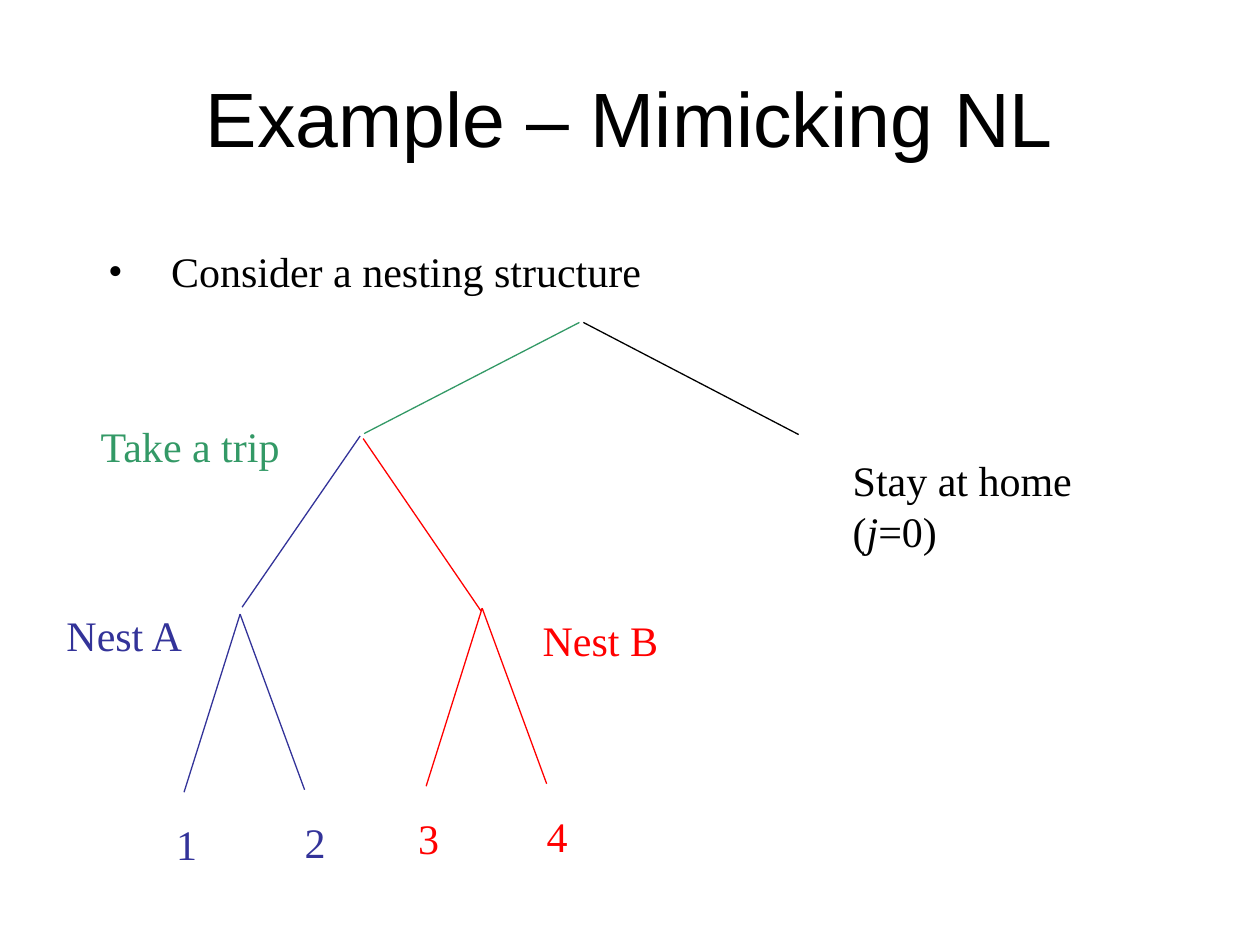
from dataclasses import dataclass

from lxml import etree
from pptx import Presentation
from pptx import util as u
from pptx.dml import color
from pptx.enum import shapes, text
from pptx.oxml import ns


@dataclass(frozen=True)
class Theme:
    black: str = "000000"
    green: str = "339966"
    blue: str = "333399"
    red: str = "FF0000"
    title_font: str = "Arial"
    body_font: str = "Times New Roman"
    title_size: int = 44
    body_size: int = 24
    line_width: float = 0.75


THEME = Theme()


def add_run(paragraph, wording, font_name, size, ink, italic=False):
    run = paragraph.add_run()
    run.text = wording
    run.font.name = font_name
    run.font.size = u.Pt(size)
    run.font.italic = italic
    run.font.color.rgb = color.RGBColor.from_string(ink)


def place(shape, left, top, width, height):
    shape.left, shape.top = u.Cm(left), u.Cm(top)
    shape.width, shape.height = u.Cm(width), u.Cm(height)


def set_title(slide, wording):
    title = slide.shapes.title
    place(title, 1.27, 0.76, 22.86, 3.18)
    title.text_frame.vertical_anchor = text.MSO_ANCHOR.MIDDLE
    paragraph = title.text_frame.paragraphs[0]
    paragraph.alignment = text.PP_ALIGN.CENTER
    add_run(paragraph, wording, THEME.title_font, THEME.title_size, THEME.black)


def add_label(container, left, top, width, ink, *runs, height=1.27):
    box = container.add_textbox(u.Cm(left), u.Cm(top), u.Cm(width), u.Cm(height))
    box.text_frame.word_wrap = True
    paragraph = box.text_frame.paragraphs[0]
    for wording, italic in runs:
        add_run(paragraph, wording, THEME.body_font, THEME.body_size, ink, italic)
    return paragraph


def add_bullet(paragraph, indent):
    properties = paragraph._p.get_or_add_pPr()
    properties.set("marL", str(u.Cm(indent)))
    properties.set("indent", str(-u.Cm(indent)))
    etree.SubElement(properties, ns.qn("a:buFont"), typeface=THEME.body_font)
    etree.SubElement(properties, ns.qn("a:buChar"), char="•")


def add_branch(container, start, end, ink):
    points = [u.Cm(length) for length in (*start, *end)]
    branch = container.add_connector(shapes.MSO_CONNECTOR.STRAIGHT, *points)
    branch.line.color.rgb = color.RGBColor.from_string(ink)
    branch.line.width = u.Pt(THEME.line_width)
    etree.SubElement(branch._element.spPr, ns.qn("a:effectLst"))


def add_nest(slide, apex, ink, alternatives):
    container = slide.shapes.add_group_shape().shapes
    x, y = apex
    offsets = ((-1.13, 3.59, -1.54, 4.0), (1.3, 3.54, 1.05, 3.95))
    for wording, (end_x, end_y, label_x, label_y) in zip(alternatives, offsets):
        add_branch(container, apex, (x + end_x, y + end_y), ink)
        add_label(container, x + label_x, y + label_y, 1.57, ink, (wording, False))


def add_trip_choice(slide):
    container = slide.shapes.add_group_shape().shapes
    add_branch(container, (11.68, 6.5), (7.34, 8.74), THEME.green)
    add_branch(container, (11.76, 6.5), (16.1, 8.76), THEME.black)
    add_label(container, 16.94, 9.04, 6.6, THEME.black,
              ("Stay at home (", False), ("j", True), ("=0)", False), height=2.29)
    add_label(container, 1.78, 8.36, 4.19, THEME.green, ("Take a trip", False))


def add_nest_choice(slide):
    container = slide.shapes.add_group_shape().shapes
    add_branch(container, (7.26, 8.79), (4.88, 12.24), THEME.blue)
    add_branch(container, (7.32, 8.84), (9.7, 12.32), THEME.red)
    add_label(container, 1.09, 12.17, 3.35, THEME.blue, ("Nest A", False))
    add_label(container, 10.69, 12.27, 3.35, THEME.red, ("Nest B", False))


def main():
    presentation = Presentation()
    presentation.slide_width, presentation.slide_height = u.Cm(25.4), u.Cm(19.05)
    slide = presentation.slides.add_slide(presentation.slide_layouts[5])
    set_title(slide, "Example – Mimicking NL")
    statement = add_label(slide.shapes, 1.93, 4.83, 21.84, THEME.black,
                          ("Consider a nesting structure", False))
    add_bullet(statement, 1.27)
    add_trip_choice(slide)
    add_nest_choice(slide)
    add_nest(slide, (4.84, 12.38), THEME.blue, "12")
    add_nest(slide, (9.72, 12.26), THEME.red, "34")
    presentation.save("out.pptx")


if __name__ == "__main__":
    main()
